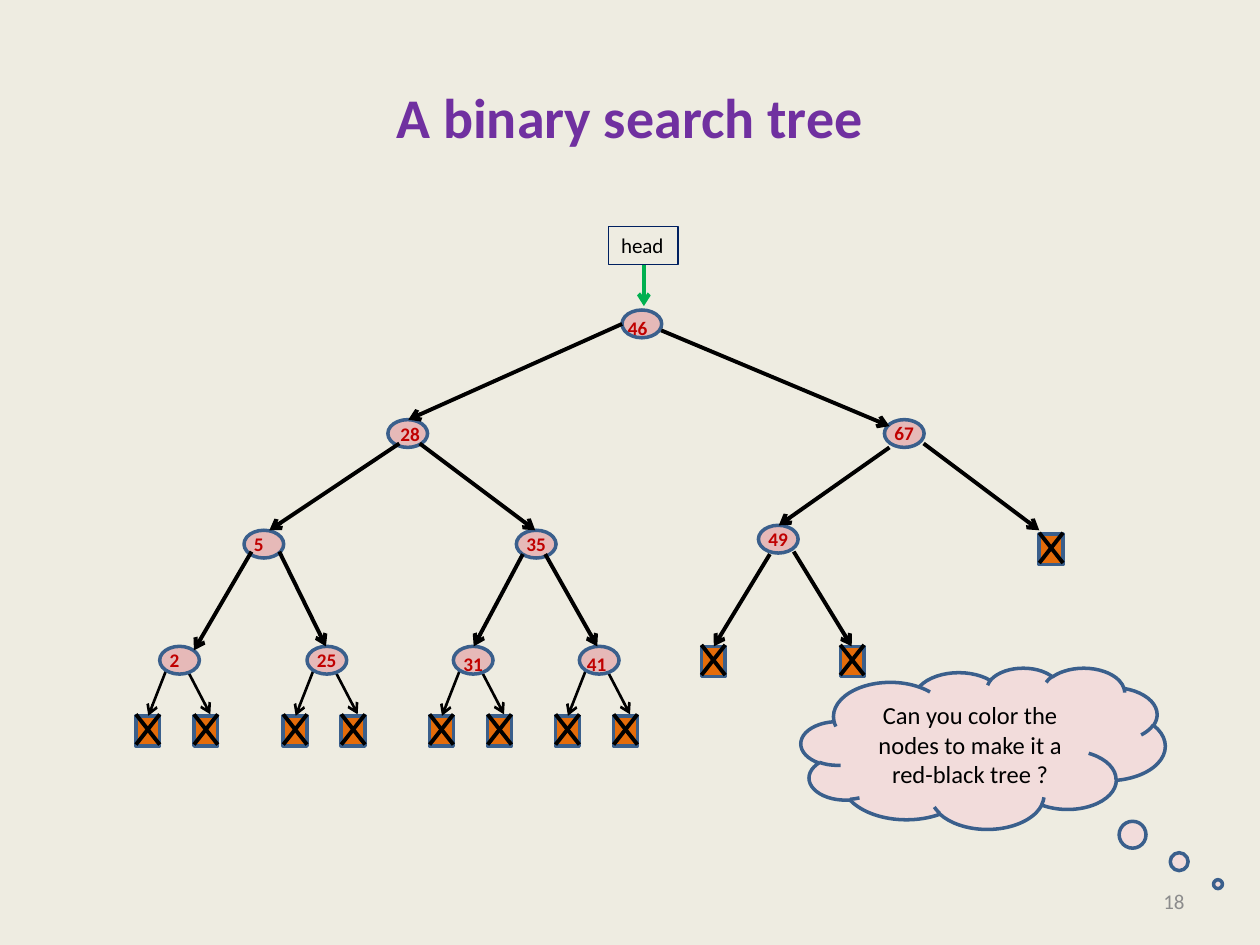
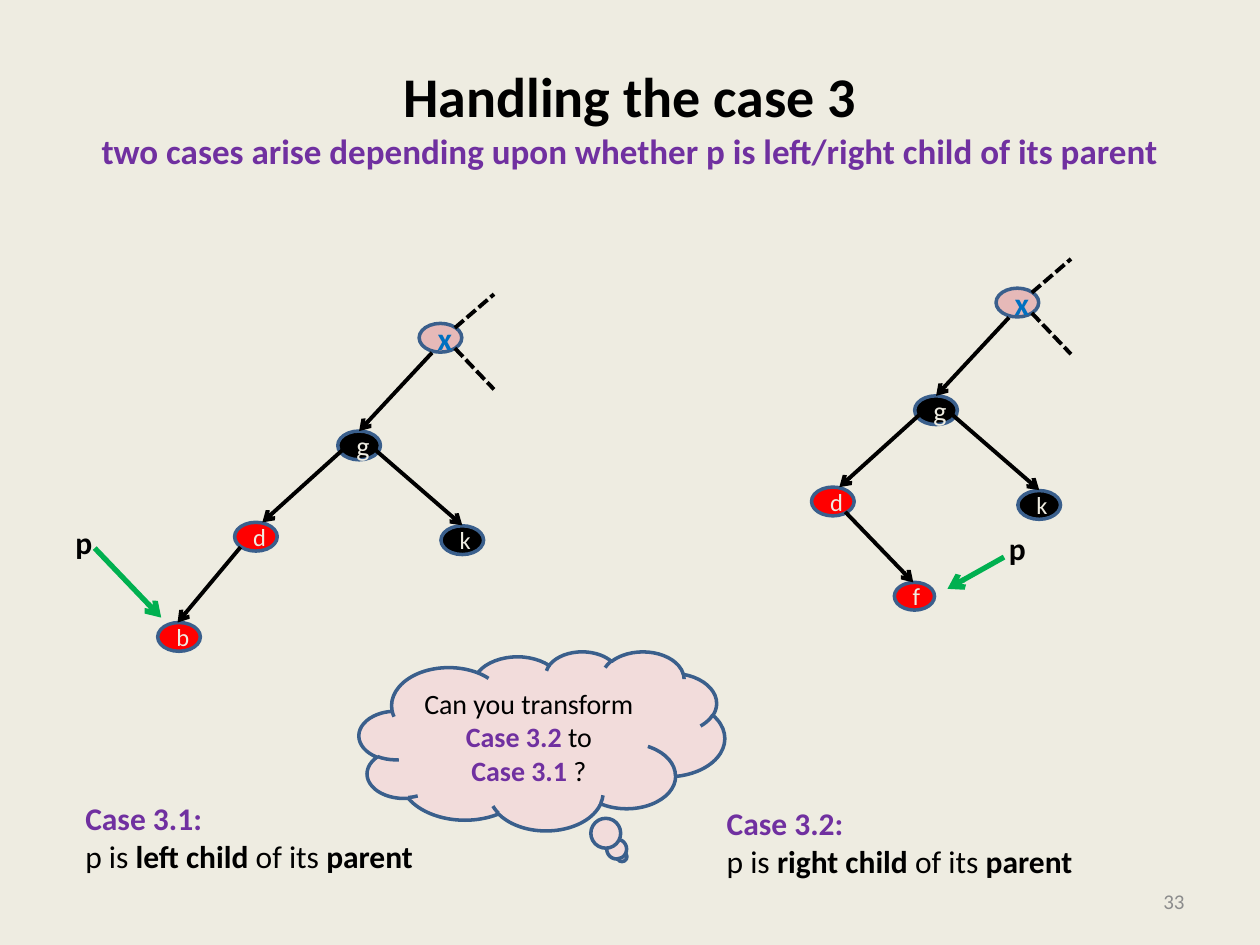
from pptx import Presentation
from pptx.dml.color import RGBColor
from pptx.enum.dml import MSO_LINE
from pptx.enum.shapes import MSO_CONNECTOR, MSO_SHAPE
from pptx.enum.text import MSO_ANCHOR as Anchor, PP_ALIGN as Align
from pptx.oxml.ns import qn
from pptx.util import Cm, Pt
from lxml.etree import SubElement

FONT = "Calibri"
COLORS = {
    "paper": "EEECE1", "purple": "7030A0", "black": "000000", "gray": "8C8C8C",
    "outline": "3A5F8C", "orange": "E46C0A", "rose": "E6B9B8", "blush": "F2DCDB",
    "green": "00B050", "navy": "002060", "crimson": "C00000", "red": "FF0000",
    "blue": "0070C0",
}

KEY_SIZE = (0.8, 0.56)
KEYS = {
    "46": (9.8, 1.68), "28": (5.08, 3.89), "67": (15.09, 3.89),
    "5": (2.18, 6.12), "35": (7.67, 6.12), "49": (12.55, 6.02),
    "2": (0.48, 8.46), "25": (3.45, 8.46), "31": (6.4, 8.46), "41": (8.94, 8.46),
}
LABEL_SHIFTS = {"46": (-0.13, 0), "28": (0, -0.08), "31": (-0.05, 0), "41": (-0.1, 0)}
LEAVES = ("2", "25", "31", "41")
NULLS = {"49 left": (11.4, 8.46), "49 right": (14.2, 8.46), "67 right": (18.21, 6.2)}
TREE_EDGES = [
    ("46", "28", (0, 0.28), (0.41, 0)),
    ("46", "67", (0.79, 0.41), (0.1, 0.13)),
    ("28", "5", (0.23, 0.48), (0.51, 0)),
    ("28", "35", (0.64, 0.48), (0.38, 0)),
    ("67", "49", (0.1, 0.56), (0.41, 0)),
    ("67", "67 right", (0.79, 0.48), (0, -0.08)),
    ("5", "2", (0.15, 0.43), (0.69, 0.08)),
    ("5", "25", (0.71, 0.43), (0.38, 0)),
    ("35", "31", (0.13, 0.48), (0.41, 0)),
    ("35", "41", (0.58, 0.48), (0.36, 0)),
    ("49", "49 left", (0.23, 0.58), (0.25, 0)),
    ("49", "49 right", (0.71, 0.53), (0.23, 0)),
]

CASE_SIZE = (0.86, 0.58)
CASE_NODES = [
    ("g", (0, 0), "black", 16), ("d", (-2.08, 1.84), "red", 14),
    ("k", (2.08, 1.91), "black", 14),
]
CASE_EDGES = [
    ((0.14, 0.34), (-1.52, 1.84)), ((0.71, 0.34), (2.51, 1.9)),
    ((1.9, -1.58), (0.43, 0)),
]
CASE_STUBS = [((2.36, -2.08), (3.15, -2.76)), ((2.36, -1.67), (3.15, -0.84))]


def color(name):
    """Return the named colour."""
    return RGBColor.from_string(COLORS[name])


def shift(origin, offset):
    """Add an offset to an origin."""
    return origin[0] + offset[0], origin[1] + offset[1]


def write(shape, paras, size=14, ink="black", bold=False, align=Align.LEFT,
          anchor=Anchor.TOP, wrap=True):
    """Fill a shape with paragraphs made of (text, format) spans."""
    frame = shape.text_frame
    frame.word_wrap = wrap
    frame.vertical_anchor = anchor
    for index, spans in enumerate(paras):
        para = frame.add_paragraph() if index else frame.paragraphs[0]
        para.alignment = align
        for text, look in [(spans, {})] if isinstance(spans, str) else spans:
            span = para.add_run()
            span.text = text
            span.font.name = FONT
            span.font.size = Pt(look.get("size", size))
            span.font.bold = look.get("bold", bold)
            span.font.color.rgb = color(look.get("ink", ink))


def add_text(page, place, extent, paras, **look):
    """Add a text box at a place in centimetres."""
    box = page.shapes.add_textbox(*map(Cm, place + extent))
    write(box, paras, **look)


def add_box(page, kind, place, extent, fill, line="outline", width=2):
    """Add a preset shape with its fill and outline."""
    box = page.shapes.add_shape(kind, *map(Cm, place + extent))
    box.shadow.inherit = False
    if fill:
        box.fill.solid()
        box.fill.fore_color.rgb = color(fill)
    else:
        box.fill.background()
    box.line.color.rgb = color(line)
    box.line.width = Pt(width)
    return box


def add_line(page, start, end, ink="black", width=2.25, arrow=True, dash=None):
    """Add a straight line, with an arrowhead at its end if wanted."""
    line = page.shapes.add_connector(MSO_CONNECTOR.STRAIGHT, *map(Cm, start + end))
    line.line.color.rgb = color(ink)
    line.line.width = Pt(width)
    if dash:
        line.line.dash_style = dash
    properties = line.element.spPr
    if arrow:
        SubElement(properties.find(qn("a:ln")), qn("a:tailEnd"), type="arrow")
    SubElement(properties, qn("a:effectLst"))


def add_cloud(page, place, extent, tail, paras, **look):
    """Add a thought cloud with its tail and question."""
    cloud = add_box(page, MSO_SHAPE.CLOUD_CALLOUT, place, extent, "blush")
    for index, value in enumerate(tail):
        cloud.adjustments[index] = value
    write(cloud, paras, align=Align.CENTER, anchor=Anchor.MIDDLE, **look)


def add_page(deck, title, number):
    """Add a page with background, title and page number."""
    page = deck.slides.add_slide(deck.slide_layouts[6])
    page.background.fill.solid()
    page.background.fill.fore_color.rgb = color("paper")
    add_text(page, (1.27, 0.76), (22.86, 3.18), title, size=32, bold=True,
             align=Align.CENTER, anchor=Anchor.MIDDLE)
    add_text(page, (18.2, 17.66), (5.93, 1.01), [number], size=12, ink="gray",
             align=Align.RIGHT, anchor=Anchor.MIDDLE)
    return page


def add_null(page, place):
    """Add a crossed box for an empty child."""
    width, height = 0.48, 0.61
    add_box(page, MSO_SHAPE.RECTANGLE, place, (width, height), "orange")
    top_left = shift(place, (0, -0.03))
    add_line(page, shift(top_left, (width, 0)), shift(top_left, (0, height)), arrow=False)
    add_line(page, top_left, shift(top_left, (width, height)), arrow=False)


def add_search_tree(page, origin):
    """Draw the search tree from its top left corner."""
    spots = {name: shift(origin, spot) for name, spot in (KEYS | NULLS).items()}
    for leaf in LEAVES:
        for null, start, end in [((-0.48, 1.4), (0.15, 0.43), (-0.23, 1.4)),
                                 ((0.69, 1.4), (0.53, 0.43), (1.02, 1.37))]:
            add_null(page, shift(spots[leaf], null))
            add_line(page, shift(spots[leaf], start), shift(spots[leaf], end), width=1.5)
    for name in NULLS:
        add_null(page, spots[name])
    for key in KEYS:
        add_box(page, MSO_SHAPE.OVAL, spots[key], KEY_SIZE, "rose")
    for parent, child, start, end in TREE_EDGES:
        add_line(page, shift(spots[parent], start), shift(spots[child], end))
    add_line(page, shift(origin, (10.24, 0.76)), shift(origin, (10.24, 1.6)), ink="green")
    head = add_box(page, MSO_SHAPE.RECTANGLE, shift(origin, (9.53, 0)), (1.4, 0.76),
                   None, "navy", 0.75)
    write(head, ["head"], size=12)
    for key in KEYS:
        place = shift(spots[key], LABEL_SHIFTS.get(key, (-0.05, -0.09)))
        add_text(page, place, (0.91 if len(key) > 1 else 0.71, 0.74), [key], size=11,
                 ink="crimson", bold=True, wrap=False)


def add_case_tree(page, origin, child, child_place, child_size, edge, pointer, label):
    """Draw one case around node g, with p pointing at the lowest child."""
    nodes = [(*node, CASE_SIZE) for node in CASE_NODES]
    nodes.append((child, child_place, "red", 14, child_size))
    for name, offset, fill, size, extent in nodes:
        node = add_box(page, MSO_SHAPE.OVAL, shift(origin, offset), extent, fill)
        write(node, [name], size=size, ink="paper", align=Align.CENTER, anchor=Anchor.MIDDLE)
    top = add_box(page, MSO_SHAPE.OVAL, shift(origin, (1.64, -2.17)), CASE_SIZE, "rose")
    write(top, ["x"], size=18, ink="blue", bold=True, align=Align.CENTER,
          anchor=Anchor.MIDDLE)
    for start, end in CASE_EDGES + [edge]:
        add_line(page, shift(origin, start), shift(origin, end))
    for start, end in CASE_STUBS:
        add_line(page, shift(origin, start), shift(origin, end), arrow=False,
                 dash=MSO_LINE.SQUARE_DOT)
    add_line(page, *(shift(origin, point) for point in pointer), ink="green", width=3)
    add_text(page, shift(origin, label), (0.86, 1.02), ["p"], size=18, bold=True, wrap=False)


def add_caption(page, place, width, case, side):
    """Add the name and condition of a case."""
    strong = {"bold": True}
    add_text(page, place, (width, 1.8), [
        [(f"{case}:", {"bold": True, "ink": "purple"})],
        [("p is ", {}), (f"{side} child ", strong), ("of its ", {}), ("parent", strong)],
    ], size=18, wrap=False)


def build_tree_page(deck):
    """Build the page with the search tree."""
    page = add_page(deck, [[("A binary search tree", {"ink": "purple"})]], "18")
    add_search_tree(page, (2.74, 4.57))
    add_cloud(page, (16.15, 13.46), (7.34, 3.25), (0.645, 0.843),
              ["Can you color the nodes to make it a red-black tree ?"])


def build_case_page(deck):
    """Build the page comparing the two cases."""
    subtitle = "two cases arise depending upon whether p is left/right child of its parent"
    page = add_page(deck, ["Handling the case 3",
                           [(subtitle, {"size": 20, "ink": "purple"})]], "33")
    add_case_tree(page, (6.81, 8.69), "b", (-3.63, 3.86), CASE_SIZE,
                  ((-1.96, 2.34), (-3.23, 3.86)), ((-4.9, 2.36), (-3.56, 3.76)),
                  (-5.54, 1.73))
    add_case_tree(page, (18.44, 7.98), "f", (-0.41, 3.76), (0.81, 0.56),
                  ((-1.4, 2.34), (-0.03, 3.76)), ((1.8, 3.25), (0.66, 3.89)),
                  (1.65, 2.57))
    add_caption(page, (1.47, 15.98), 7.19, "Case 3.1", "left")
    add_caption(page, (14.4, 16.08), 7.54, "Case 3.2", "right")
    case = {"bold": True, "ink": "purple"}
    add_cloud(page, (7.24, 13.13), (7.37, 3.61), (0.219, 0.647), [
        [("Can you transform ", {}), ("Case 3.2 ", case), ("to", {})],
        [("Case 3.1", case), (" ?", {})],
    ], size=16)


def main():
    """Build and save the deck."""
    deck = Presentation()
    deck.slide_width, deck.slide_height = Cm(25.4), Cm(19.05)
    build_tree_page(deck)
    build_case_page(deck)
    deck.save("out.pptx")


if __name__ == "__main__":
    main()
